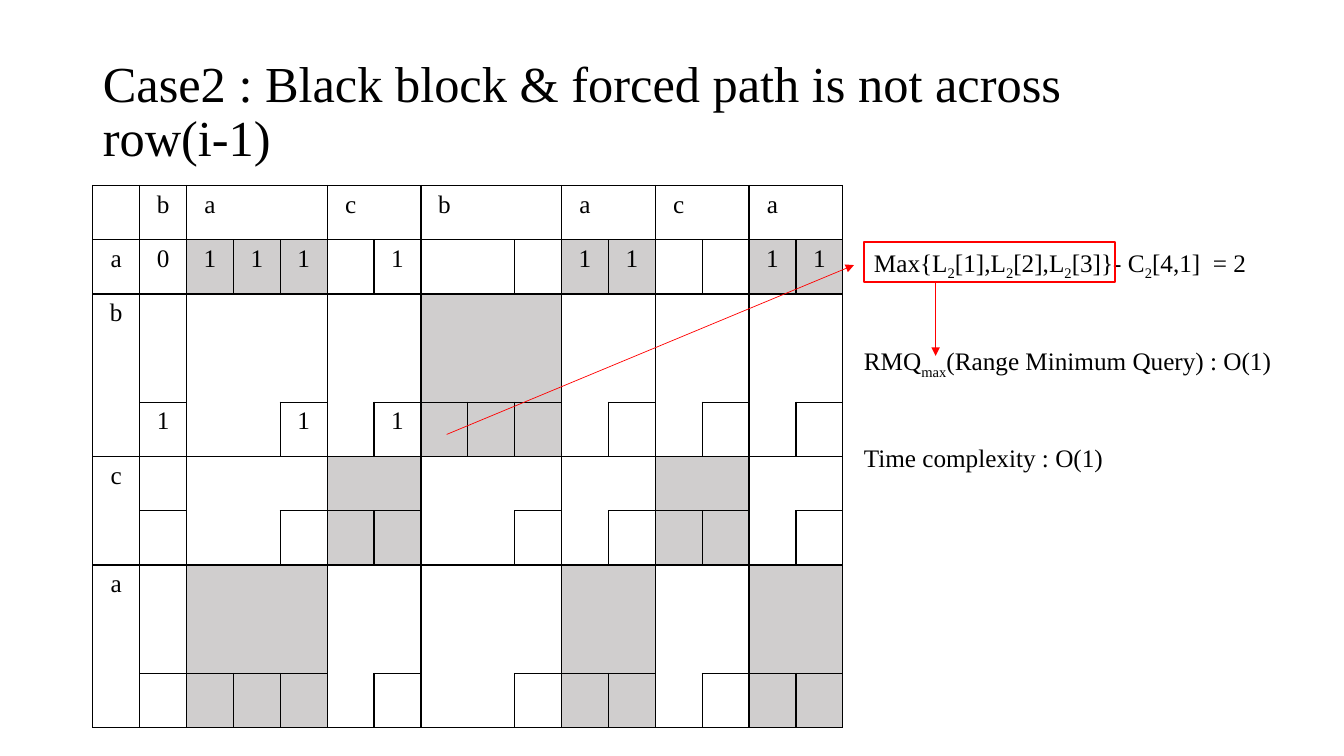
from lxml import etree
from pptx import Presentation
from pptx.dml.color import RGBColor
from pptx.enum.shapes import MSO_CONNECTOR, MSO_SHAPE
from pptx.enum.text import MSO_ANCHOR, MSO_AUTO_SIZE, PP_ALIGN
from pptx.oxml.ns import qn
from pptx.util import Inches, Pt

STRAIGHT = MSO_CONNECTOR.STRAIGHT
RECTANGLE = MSO_SHAPE.RECTANGLE
MIDDLE = MSO_ANCHOR.MIDDLE
NO_FIT = MSO_AUTO_SIZE.NONE
FIT_SHAPE = MSO_AUTO_SIZE.SHAPE_TO_FIT_TEXT
LEFT, CENTER = PP_ALIGN.LEFT, PP_ALIGN.CENTER

FONT = "Times New Roman"
COLORS = {"text": "000000", "grid": "000000", "match": "D0CECE", "accent": "FF0000"}

COL_RUNS = [("", 1), ("b", 1), ("a", 3), ("c", 2), ("b", 3), ("a", 2), ("c", 2), ("a", 2)]
ROW_RUNS = [("", 1), ("a", 1), ("b", 3), ("c", 2), ("a", 3)]
FIRST_COL = 1
VALUES = {1: {"0": [1], "1": [2, 3, 4, 6, 10, 11, 14, 15]}, 4: {"1": [1, 4, 6]}}


def rgb(name):
    return RGBColor.from_string(COLORS[name])


def write(tf, text, size=18, align=LEFT, spacing=None):
    p = tf.paragraphs[0]
    p.alignment = align
    if spacing:
        p.line_spacing = spacing
    for i, part in enumerate(text.split("~")):
        r = p.add_run()
        r.text = part
        r.font.name = FONT
        r.font.size = Pt(size)
        r.font.color.rgb = rgb("text")
        if i % 2:
            r._r.get_or_add_rPr().set("baseline", "-25000")


def add_title(s, text):
    title = s.shapes.title
    title.left, title.top = Inches(0.92), Inches(0.4)
    title.width, title.height = Inches(11.5), Inches(1.45)
    tf = title.text_frame
    tf.auto_size = NO_FIT
    tf.vertical_anchor = MIDDLE
    write(tf, text, size=36, spacing=0.9)


def add_note(s, x, y, w, text):
    tf = s.shapes.add_textbox(Inches(x), Inches(y), Inches(w), Inches(0.4)).text_frame
    tf.word_wrap = True
    tf.auto_size = FIT_SHAPE
    write(tf, text)


def add_frame(s, x, y, w, h):
    sp = s.shapes.add_shape(RECTANGLE, Inches(x), Inches(y), Inches(w), Inches(h))
    sp.shadow.inherit = False
    sp.fill.background()
    sp.line.color.rgb = rgb("accent")
    sp.line.width = Pt(1.5)


def add_arrow(s, x1, y1, x2, y2):
    c = s.shapes.add_connector(STRAIGHT, Inches(x1), Inches(y1), Inches(x2), Inches(y2))
    c.line.color.rgb = rgb("accent")
    c.line.width = Pt(0.5)
    etree.SubElement(c.line._get_or_add_ln(), qn("a:tailEnd"), type="triangle")
    etree.SubElement(c._element.spPr, qn("a:effectLst"))


def expand(runs):
    return [(run, letter, k, length)
            for run, (letter, length) in enumerate(runs) for k in range(length)]


def is_match(row, col):
    return col[0] > FIRST_COL and row[1] != "" and row[1] == col[1]


def region(rows, cols, i, j):
    if not (0 <= i < len(rows) and 0 <= j < len(cols)):
        return None
    row, col = rows[i], cols[j]
    last_row, last_col = row[2] == row[3] - 1, col[2] == col[3] - 1
    if row[0] and col[0] and last_row and (last_col or is_match(row, col)):
        return "cell", i, j
    return "block", row[0], col[0]


def set_border(cell, side, shown):
    ln = etree.SubElement(cell._tc.get_or_add_tcPr(), qn("a:ln" + side), w=str(Pt(1)))
    if shown:
        fill = etree.SubElement(ln, qn("a:solidFill"))
        etree.SubElement(fill, qn("a:srgbClr"), val=COLORS["grid"])
    else:
        etree.SubElement(ln, qn("a:noFill"))


def cell_text(rows, cols, i, j):
    if i == 0:
        return cols[j][1] if cols[j][2] == 0 else ""
    if j == 0:
        return rows[i][1] if rows[i][2] == 0 else ""
    return next((v for v, at in VALUES.get(i, {}).items() if j in at), "")


def add_grid(s, x, y, w, h):
    rows, cols = expand(ROW_RUNS), expand(COL_RUNS)
    table = s.shapes.add_table(len(rows), len(cols), Inches(x), Inches(y),
                               Inches(w), Inches(h)).table
    table.first_row = False
    table.horz_banding = False
    for i, row in enumerate(rows):
        table.rows[i].height = Inches(h / len(rows))
        for j, col in enumerate(cols):
            cell = table.cell(i, j)
            here = region(rows, cols, i, j)
            for side, di, dj in [("L", 0, -1), ("R", 0, 1), ("T", -1, 0), ("B", 1, 0)]:
                set_border(cell, side, region(rows, cols, i + di, j + dj) != here)
            if is_match(row, col):
                cell.fill.solid()
                cell.fill.fore_color.rgb = rgb("match")
            else:
                cell.fill.background()
            text = cell_text(rows, cols, i, j)
            if text:
                write(cell.text_frame, text, align=CENTER)
    for column in table.columns:
        column.width = Inches(w / len(cols))


def main():
    prs = Presentation()
    prs.slide_width, prs.slide_height = Inches(13.33), Inches(7.5)
    s = prs.slides.add_slide(prs.slide_layouts[5])
    add_title(s, "Case2 : Black block & forced path is not across row(i-1)")
    add_grid(s, 0.92, 1.84, 7.44, 5.38)
    add_note(s, 8.57, 2.4, 4.1, "Max{L~2~[1],L~2~[2],L~2~[3]}- C~2~[4,1]  = 2")
    add_arrow(s, 4.43, 4.31, 8.47, 2.63)
    add_frame(s, 8.57, 2.4, 2.49, 0.4)
    add_note(s, 8.47, 3.38, 4.26, "RMQ~max~(Range Minimum Query) : O(1)")
    add_arrow(s, 9.28, 2.8, 9.28, 3.53)
    add_note(s, 8.47, 4.34, 4.26, "Time complexity : O(1)")
    prs.save("out.pptx")


if __name__ == "__main__":
    main()
